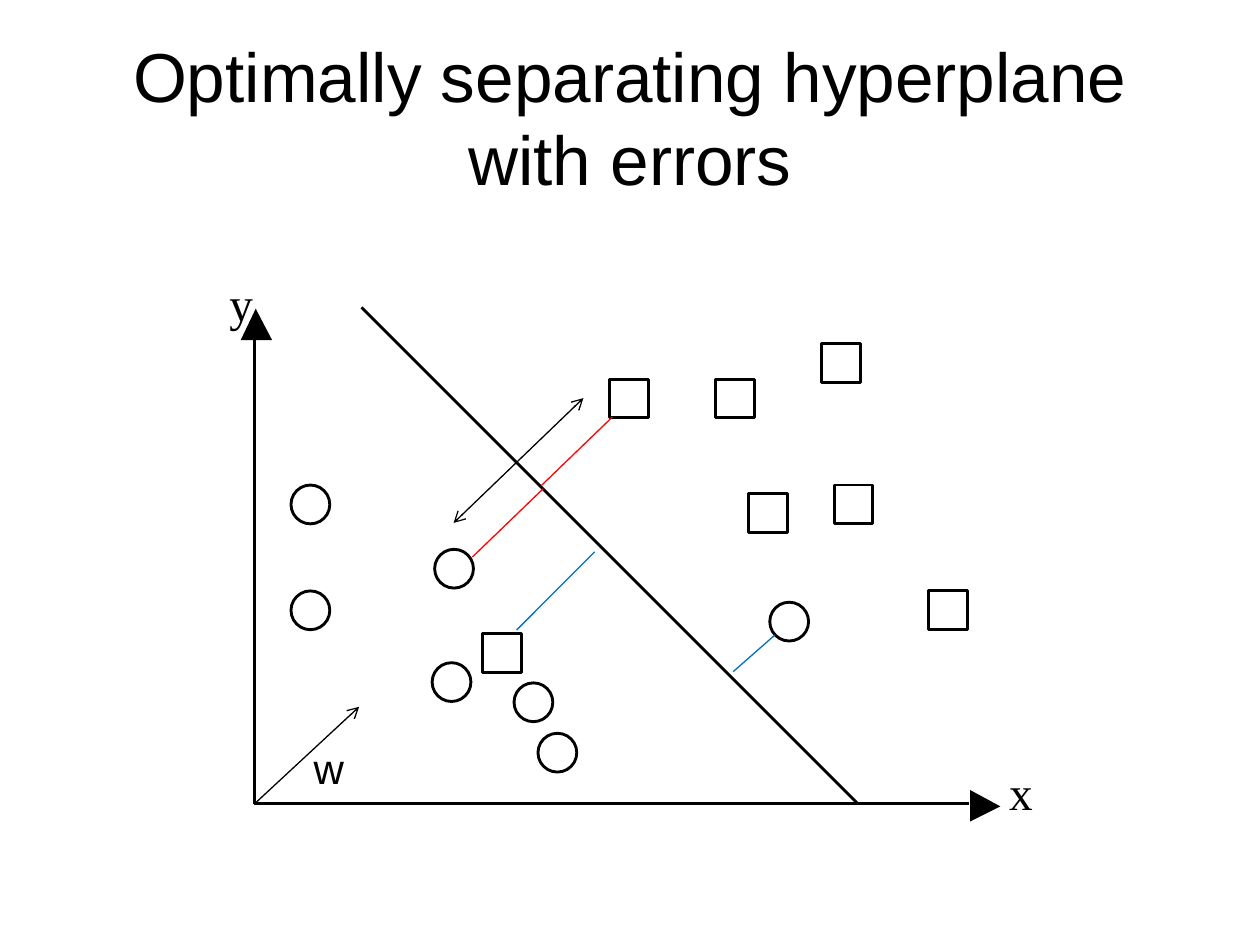
from dataclasses import dataclass

from lxml import etree
from pptx import Presentation
from pptx import util as u
from pptx.dml.color import RGBColor
from pptx.enum import shapes, text
from pptx.oxml.ns import qn

COLUMNS, ROWS = 100, 75
CELL = u.Inches(10) // COLUMNS
MARKER_SIZE = 3.08


@dataclass(frozen=True)
class Theme:
    ink: str = "000000"
    paper: str = "FFFFFF"
    support: str = "FF0000"
    error: str = "0070C0"
    sans: str = "Arial"
    serif: str = "Times New Roman"
    title_size: float = 39.6
    axis_size: float = 27
    vector_size: float = 24
    thick: float = 1.63
    thin: float = 0.75


THEME = Theme()


@dataclass(frozen=True)
class Line:
    """A straight line between two (column, row) points."""
    start: tuple[float, float]
    end: tuple[float, float]
    color: str = THEME.ink
    width: float = THEME.thin
    start_arrow: bool = False
    end_arrow: bool = False


@dataclass(frozen=True)
class Label:
    words: str
    column: float
    row: float
    width: float
    height: float
    font: str
    size: float
    margin_x: float = 0
    margin_y: float = 0


ORIGIN = (20.2, 63.8)

BOUNDARY = Line((28.7, 24.4), (68.1, 63.8), width=THEME.thick)
AXES = [
    Line(ORIGIN, (20.2, 26.8), width=THEME.thick),
    Line(ORIGIN, (76.9, 63.8), width=THEME.thick),
]
AXIS_HEADS = [
    [(21.6, 27), (20.3, 24.5), (19.1, 27)],
    [(77, 65.2), (79.4, 64), (77, 62.7)],
]
DISTANCES = [
    Line((48.6, 33.1), (43, 38.5), THEME.support),
    Line((43.1, 38.8), (37.5, 44.2), THEME.support),
    Line(ORIGIN, (28.5, 56.1), end_arrow=True),
    Line((46.3, 31.6), (36, 41.5), start_arrow=True, end_arrow=True),
    Line((47.2, 43.8), (41, 50), THEME.error),
    Line((61.5, 50.4), (58.2, 53.3), THEME.error),
]

# Left and top of each marker, in columns and rows
CIRCLES = [(40.8, 54.2), (23.1, 46.9), (23.1, 38.5), (34.3, 52.6),
           (42.7, 58.2), (34.5, 43.6), (61.1, 47.8)]
SQUARES = [(48.4, 30.1), (59.4, 39.2), (56.8, 30.1), (65.2, 27.3),
           (73.7, 46.9), (66.2, 38.5), (38.3, 50.3)]

LABELS = [
    Label("y", 18.2, 21.8, 1.9, 4.5, THEME.serif, THEME.axis_size),
    Label("x", 80.1, 60.6, 1.9, 4.5, THEME.serif, THEME.axis_size),
    Label("w", 23.9, 58.4, 4.5, 5.1, THEME.sans, THEME.vector_size, 1, 0.5),
]


def cells(count: float) -> u.Emu:
    return u.Emu(round(count * CELL))


def rgb(color: str) -> RGBColor:
    return RGBColor.from_string(color)


def place(shape, column: float, row: float, width: float, height: float) -> None:
    shape.left, shape.top = cells(column), cells(row)
    shape.width, shape.height = cells(width), cells(height)


def write(para, words: str, font: str, size: float) -> None:
    span = para.add_run()
    span.text = words
    span.font.name = font
    span.font.size = u.Pt(size)
    span.font.color.rgb = rgb(THEME.ink)


def add_title(page, words: str) -> None:
    title = page.shapes.title
    place(title, 5, 3, 90, 12.5)
    frame = title.text_frame
    frame.word_wrap = True
    frame.auto_size = text.MSO_AUTO_SIZE.NONE
    frame.vertical_anchor = text.MSO_ANCHOR.MIDDLE
    para = frame.paragraphs[0]
    para.alignment = text.PP_ALIGN.CENTER
    write(para, words, THEME.sans, THEME.title_size)


def add_label(page, label: Label) -> None:
    box = page.shapes.add_textbox(0, 0, 0, 0)
    place(box, label.column, label.row, label.width, label.height)
    frame = box.text_frame
    frame.word_wrap = False
    frame.auto_size = text.MSO_AUTO_SIZE.SHAPE_TO_FIT_TEXT
    frame.margin_left = frame.margin_right = cells(label.margin_x)
    frame.margin_top = frame.margin_bottom = cells(label.margin_y)
    write(frame.paragraphs[0], label.words, label.font, label.size)


def add_line(page, line: Line) -> None:
    ends = [cells(value) for value in (*line.start, *line.end)]
    connector = page.shapes.add_connector(shapes.MSO_CONNECTOR.STRAIGHT, *ends)
    connector.line.color.rgb = rgb(line.color)
    connector.line.width = u.Pt(line.width)
    outline = connector.line._get_or_add_ln()
    for tag, wanted in (("a:headEnd", line.start_arrow), ("a:tailEnd", line.end_arrow)):
        if wanted:
            etree.SubElement(outline, qn(tag), type="arrow")
    etree.SubElement(connector._element.spPr, qn("a:effectLst"))


def add_marker(page, kind: shapes.MSO_SHAPE, column: float, row: float) -> None:
    marker = page.shapes.add_shape(kind, 0, 0, 0, 0)
    place(marker, column, row, MARKER_SIZE, MARKER_SIZE)
    marker.shadow.inherit = False
    marker.fill.solid()
    marker.fill.fore_color.rgb = rgb(THEME.paper)
    marker.line.color.rgb = rgb(THEME.ink)
    marker.line.width = u.Pt(THEME.thick)


def add_axis_head(page, points: list[tuple[float, float]]) -> None:
    first, *rest = [(cells(column), cells(row)) for column, row in points]
    builder = page.shapes.build_freeform(*first)
    builder.add_line_segments(rest, close=True)
    head = builder.convert_to_shape()
    head.shadow.inherit = False
    head.fill.solid()
    head.fill.fore_color.rgb = rgb(THEME.ink)
    head.line.fill.background()


def main() -> None:
    deck = Presentation()
    deck.slide_width, deck.slide_height = cells(COLUMNS), cells(ROWS)
    page = deck.slides.add_slide(deck.slide_layouts.get_by_name("Title Only"))

    add_title(page, "Optimally separating hyperplane with errors")
    add_line(page, BOUNDARY)
    for kind, corners in ((shapes.MSO_SHAPE.OVAL, CIRCLES),
                          (shapes.MSO_SHAPE.RECTANGLE, SQUARES)):
        for column, row in corners:
            add_marker(page, kind, column, row)
    for line in AXES + DISTANCES:
        add_line(page, line)
    for points in AXIS_HEADS:
        add_axis_head(page, points)
    for label in LABELS:
        add_label(page, label)

    deck.save("out.pptx")


if __name__ == "__main__":
    main()
